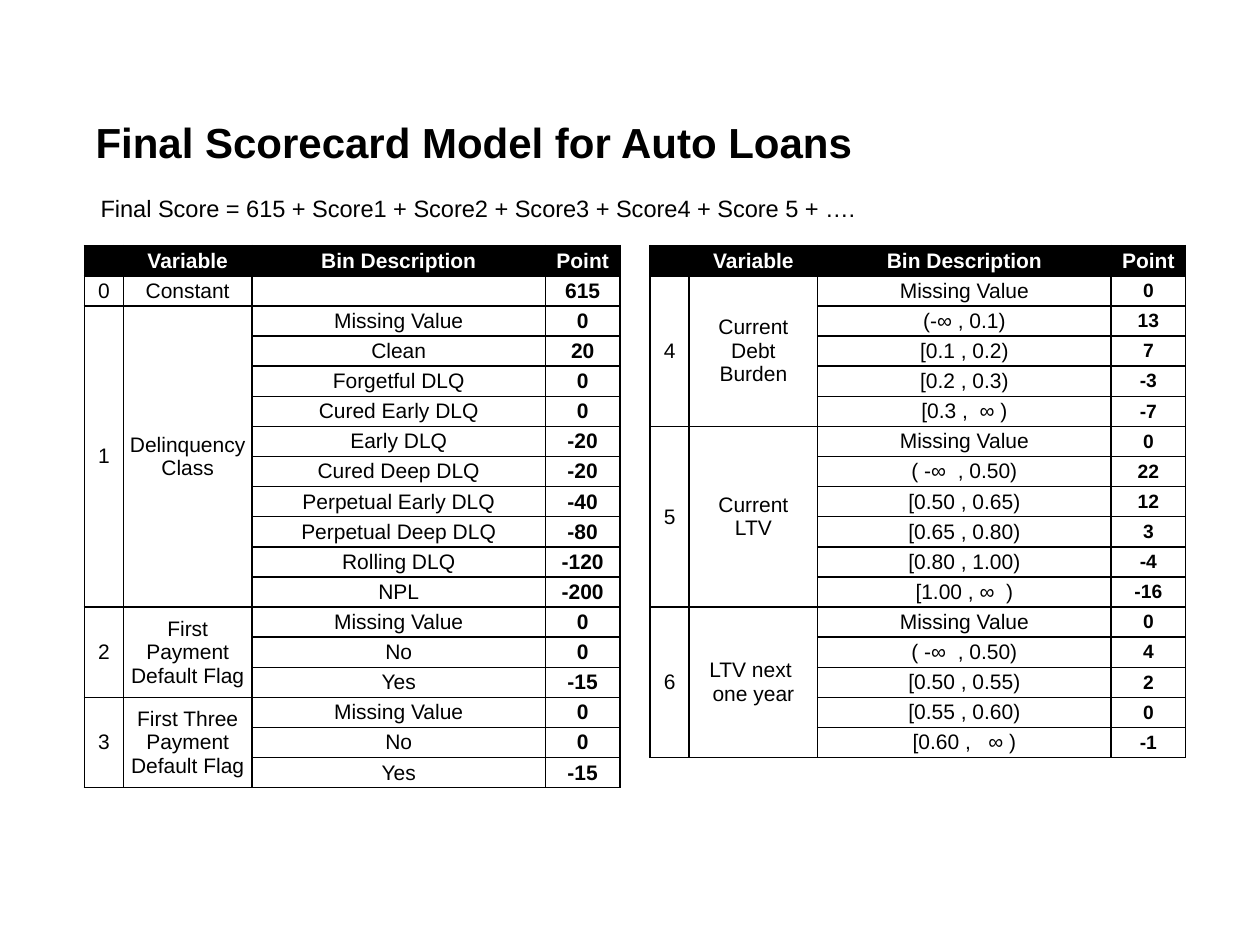
from dataclasses import dataclass
from typing import Any

from lxml.etree import SubElement
from pptx import Presentation
from pptx.dml.color import RGBColor
from pptx.enum.text import MSO_ANCHOR, PP_ALIGN
from pptx.oxml.ns import qn
from pptx.util import Inches, Pt

BLACK, WHITE = "000000", "FFFFFF"
HEADINGS = ("", "Variable", "Bin Description", "Point")
COL_WIDTHS = (0.31, 1.02, 2.33, 0.59)
ROW_HEIGHT = 0.239
TABLE_TOP = 1.95
CELL_FORMAT = {
    "margin_left": 0,
    "margin_right": 0,
    "margin_top": 0,
    "margin_bottom": 0,
    "vertical_anchor": MSO_ANCHOR.MIDDLE,
}


@dataclass
class Variable:
    number: int
    label: str
    bins: list[tuple[str, int]]


@dataclass
class Scorecard:
    left: float
    point_size: float
    variables: list[Variable]


@dataclass
class TextLine:
    text: str
    box: tuple[float, float, float, float]
    size: float
    bold: bool = False
    spacing: float = 1.0


FLAG_BINS = [("Missing Value", 0), ("No", 0), ("Yes", -15)]

SCORECARDS = [
    Scorecard(0.67, 12, [
        Variable(0, "Constant", [("", 615)]),
        Variable(1, "Delinquency\nClass", [
            ("Missing Value", 0),
            ("Clean", 20),
            ("Forgetful DLQ", 0),
            ("Cured Early DLQ", 0),
            ("Early DLQ", -20),
            ("Cured Deep DLQ", -20),
            ("Perpetual Early DLQ", -40),
            ("Perpetual Deep DLQ", -80),
            ("Rolling DLQ", -120),
            ("NPL", -200),
        ]),
        Variable(2, "First Payment Default Flag", FLAG_BINS),
        Variable(3, "First Three Payment Default Flag", FLAG_BINS),
    ]),
    Scorecard(5.16, 11, [
        Variable(4, "Current\nDebt\nBurden", [
            ("Missing Value", 0),
            ("(-∞ , 0.1)", 13),
            ("[0.1 , 0.2)", 7),
            ("[0.2 , 0.3)", -3),
            ("[0.3 ,  ∞ )", -7),
        ]),
        Variable(5, "Current\nLTV", [
            ("Missing Value", 0),
            ("( -∞  , 0.50)", 22),
            ("[0.50 , 0.65)", 12),
            ("[0.65 , 0.80)", 3),
            ("[0.80 , 1.00)", -4),
            ("[1.00 , ∞  )", -16),
        ]),
        Variable(6, "LTV next \none year", [
            ("Missing Value", 0),
            ("( -∞  , 0.50)", 4),
            ("[0.50 , 0.55)", 2),
            ("[0.55 , 0.60)", 0),
            ("[0.60 ,   ∞ )", -1),
        ]),
    ]),
]

TEXT_LINES = [
    TextLine("Final Score = 615 + Score1 + Score2 + Score3 + Score4 + Score 5 + ….",
             (0.7, 1.49, 6.82, 0.33), 13.5),
    TextLine("Final Scorecard Model for Auto Loans",
             (0.66, 0.92, 8.98, 0.42), 24, True, 0.9),
]


def rgb(color: str) -> RGBColor:
    return RGBColor.from_string(color)


def apply_format(target: Any, values: dict[str, Any]) -> None:
    for name, value in values.items():
        setattr(target, name, value)


def style_run(r: Any, size: float, bold: bool, color: str) -> None:
    apply_format(r.font, {"name": "Arial", "size": Pt(size), "bold": bold})
    r.font.color.rgb = rgb(color)


def add_borders(cell: Any) -> None:
    props = cell._tc.get_or_add_tcPr()
    for side in ("a:lnL", "a:lnR", "a:lnT", "a:lnB"):
        line = SubElement(props, qn(side), w=str(Pt(1)))
        fill = SubElement(line, qn("a:solidFill"))
        SubElement(fill, qn("a:srgbClr"), val=BLACK)


def fill_cell(cell: Any, text: str, size: float = 12, bold: bool = False,
              color: str = BLACK) -> None:
    tf = cell.text_frame
    tf.text = text
    for p in tf.paragraphs:
        p.alignment = PP_ALIGN.CENTER
        for r in p.runs:
            style_run(r, size, bold, color)
        if not p.runs:
            SubElement(p._p, qn("a:endParaRPr"), sz=str(int(size * 100)))


def add_scorecard(s: Any, card: Scorecard) -> None:
    row_count = 1 + sum(len(v.bins) for v in card.variables)
    frame = s.shapes.add_table(
        row_count, len(COL_WIDTHS), Inches(card.left), Inches(TABLE_TOP),
        Inches(sum(COL_WIDTHS)), Inches(ROW_HEIGHT * row_count))
    table = frame.table
    apply_format(table, {"first_row": False, "horz_banding": False})
    for col, width in zip(table.columns, COL_WIDTHS):
        col.width = Inches(width)
    for index, row in enumerate(table.rows):
        row.height = Inches(ROW_HEIGHT)
        for cell in row.cells:
            apply_format(cell, CELL_FORMAT)
            add_borders(cell)
            cell.fill.solid()
            cell.fill.fore_color.rgb = rgb(WHITE if index else BLACK)
    for col, heading in enumerate(HEADINGS):
        fill_cell(table.cell(0, col), heading, bold=True, color=WHITE)

    top = 1
    for variable in card.variables:
        bottom = top + len(variable.bins) - 1
        for col, text in enumerate((str(variable.number), variable.label)):
            if bottom > top:
                table.cell(top, col).merge(table.cell(bottom, col))
            fill_cell(table.cell(top, col), text)
        for row, (description, points) in enumerate(variable.bins, top):
            fill_cell(table.cell(row, 2), description)
            fill_cell(table.cell(row, 3), str(points), card.point_size, True)
        top = bottom + 1


def add_text_line(s: Any, line: TextLine) -> None:
    tf = s.shapes.add_textbox(*map(Inches, line.box)).text_frame
    tf.word_wrap = True
    p = tf.paragraphs[0]
    p.line_spacing = line.spacing
    r = p.add_run()
    r.text = line.text
    style_run(r, line.size, line.bold, BLACK)


def main() -> None:
    prs = Presentation()
    apply_format(prs, {"slide_width": Inches(10), "slide_height": Inches(7.5)})
    s = prs.slides.add_slide(prs.slide_layouts[6])
    for card in SCORECARDS:
        add_scorecard(s, card)
    for line in TEXT_LINES:
        add_text_line(s, line)
    prs.save("out.pptx")


if __name__ == "__main__":
    main()
